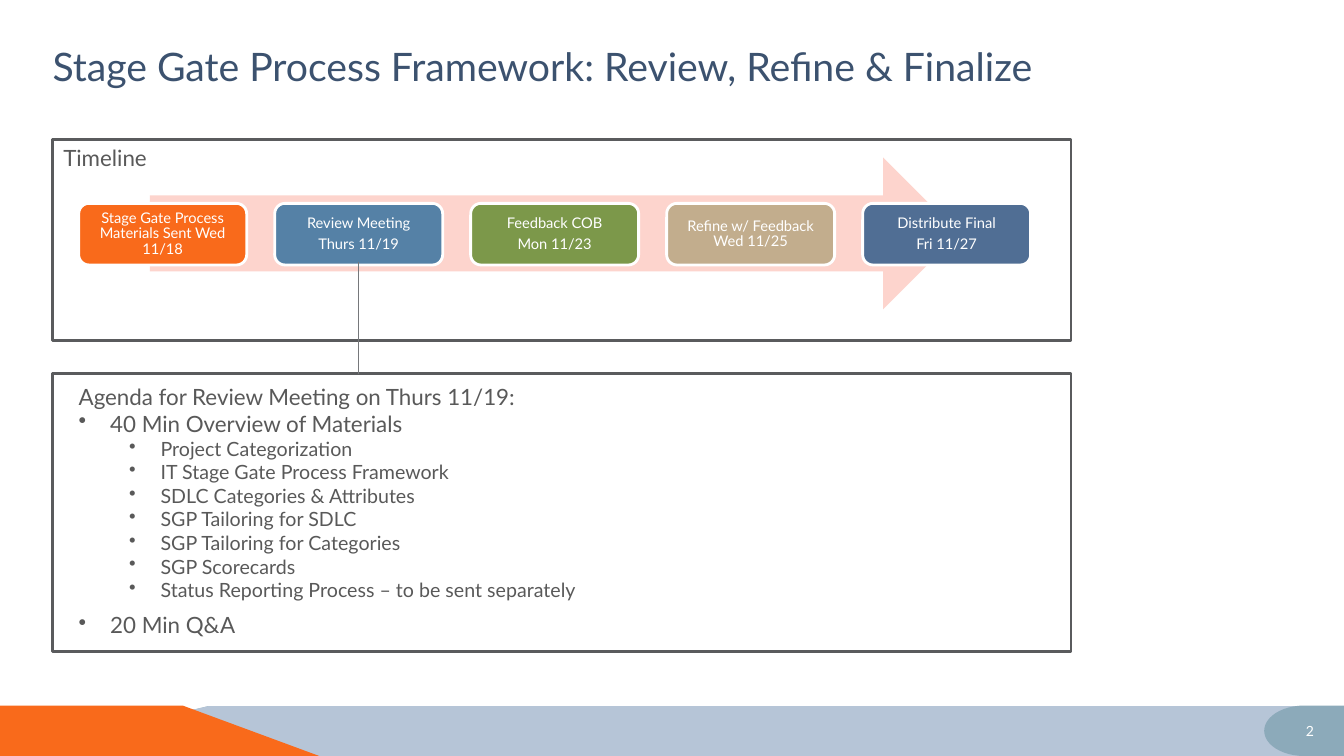
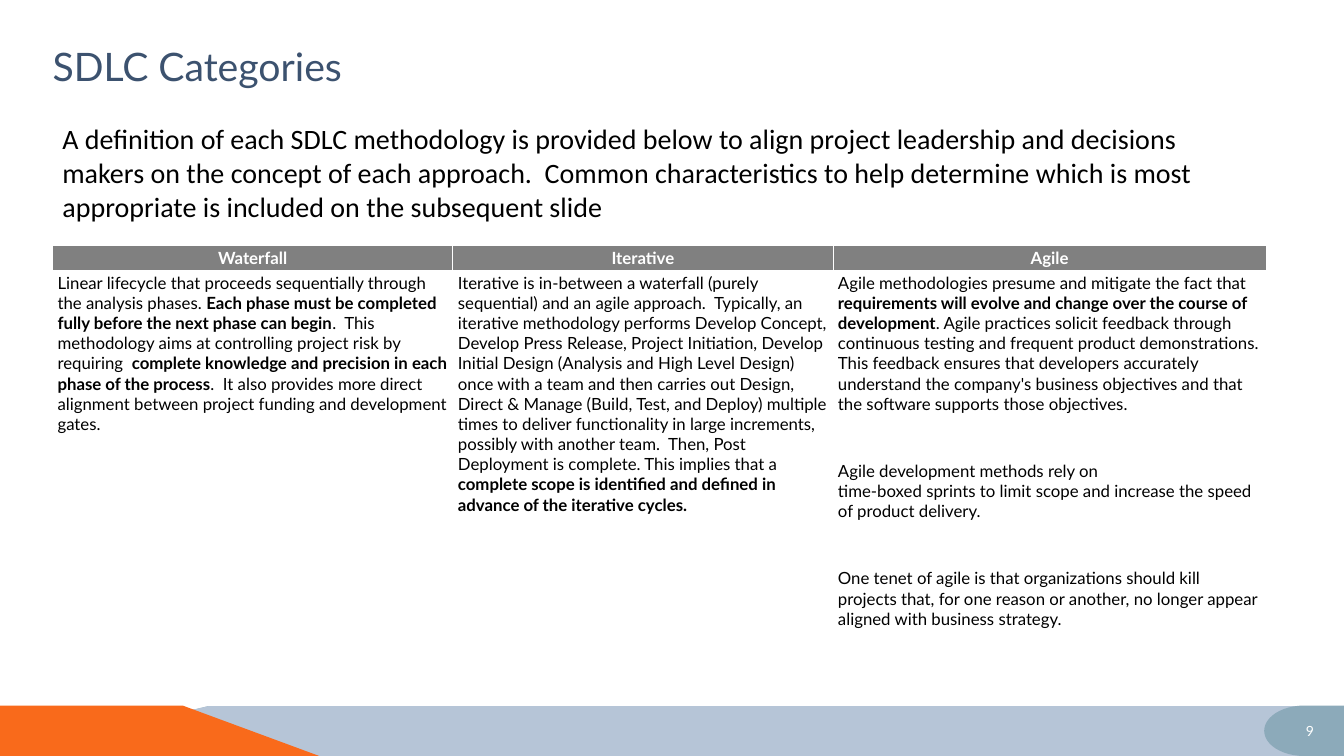
from lxml import etree
from pptx import Presentation
from pptx.dml.color import RGBColor
from pptx.enum.dml import MSO_PATTERN
from pptx.enum.shapes import MSO_CONNECTOR, MSO_SHAPE
from pptx.enum.text import MSO_ANCHOR, MSO_AUTO_SIZE, PP_ALIGN
from pptx.oxml.ns import qn
from pptx.util import Pt

LEFT, CENTER = PP_ALIGN.LEFT, PP_ALIGN.CENTER
TOP, MIDDLE = MSO_ANCHOR.TOP, MSO_ANCHOR.MIDDLE
RECTANGLE, ROUNDED = MSO_SHAPE.RECTANGLE, MSO_SHAPE.ROUNDED_RECTANGLE
RIGHT_ARROW, DELAY = MSO_SHAPE.RIGHT_ARROW, MSO_SHAPE.FLOWCHART_DELAY

COLORS = {
    "title": "3C526F", "body": "595959", "black": "000000", "white": "FFFFFF",
    "orange": "F96A1B", "blue": "5581A6", "green": "7C984A", "tan": "C2AD8D",
    "navy": "506E94", "arrow": "FDD4CD", "band": "B6C5D7", "teal": "8CAABA",
    "frame": "5A5B5D", "link": "76787B", "header": "808080",
}

WIDTH, HEIGHT = 960, 540
MARGIN = 37.5
FOOTER_TOP = 504

TIMELINE_TITLE = "Stage Gate Process Framework: Review, Refine & Finalize"
MILESTONES = [
    ("orange", ["Stage Gate Process Materials Sent Wed 11/18"]),
    ("blue", ["Review Meeting", "Thurs 11/19"]),
    ("green", ["Feedback COB", "Mon 11/23"]),
    ("tan", ["Refine w/ Feedback Wed 11/25"]),
    ("navy", ["Distribute Final", "Fri 11/27"]),
]
AGENDA_HEADING = "Agenda for Review Meeting on Thurs 11/19:"
AGENDA = [
    ("40 Min Overview of Materials", [
        "Project Categorization",
        "IT Stage Gate Process Framework",
        "SDLC Categories & Attributes",
        "SGP Tailoring for SDLC",
        "SGP Tailoring for Categories",
        "SGP Scorecards",
        "Status Reporting Process – to be sent separately",
    ]),
    ("20 Min Q&A", []),
]

CATEGORIES_TITLE = "SDLC Categories"
INTRO = (
    "A definition of each SDLC methodology is provided below to align project "
    "leadership and decisions makers on the concept of each approach.  Common "
    "characteristics to help determine which is most appropriate is included on "
    "the subsequent slide"
)
METHODS = [
    ("Waterfall", 286, [
        (0, ("Linear lifecycle that proceeds sequentially through the analysis phases. ",
             "Each phase must be completed fully before the next phase can begin",
             ".  This methodology aims at controlling project risk by requiring  ",
             "complete knowledge and precision in each phase of the process",
             ".  It also provides more direct alignment between project funding "
             "and development gates.")),
    ]),
    ("Iterative", 271.5, [
        (0, ("Iterative is in-between a waterfall (purely sequential) and an agile "
             "approach.  Typically, an iterative methodology performs Develop Concept, "
             "Develop Press Release, Project Initiation, Develop Initial Design "
             "(Analysis and High Level Design) once with a team and then carries out "
             "Design, Direct & Manage (Build, Test, and Deploy) multiple times to "
             "deliver functionality in large increments, possibly with another team.  "
             "Then, Post Deployment is complete. This implies that a ",
             "complete scope is identified and defined in advance of the iterative "
             "cycles.")),
    ]),
    ("Agile", 309.5, [
        (0, ("Agile methodologies presume and mitigate the fact that ",
             "requirements will evolve and change over the course of development",
             ". Agile practices solicit feedback through continuous testing and "
             "frequent product demonstrations. This feedback ensures that developers "
             "accurately understand the company's business objectives and that the "
             "software supports those objectives.")),
        (33.6, ("Agile development methods rely on",)),
        (0, ("time-boxed sprints to limit scope and increase the speed of product "
             "delivery.",)),
        (33.6, ("One tenet of agile is that organizations should kill projects that, "
                "for one reason or another, no longer appear aligned with business "
                "strategy.",)),
    ]),
]


def rgb(name):
    return RGBColor.from_string(COLORS[name])


def write(frame, text, size=16, color="body", font="Lato", bold=False, align=LEFT,
          before=0, after=0, spacing=1.0, indent=None):
    paragraph = frame.add_paragraph() if frame.text else frame.paragraphs[0]
    paragraph.alignment = align
    paragraph.space_before, paragraph.space_after = Pt(before), Pt(after)
    paragraph.line_spacing = spacing
    if indent is not None:
        properties = paragraph._p.get_or_add_pPr()
        properties.set("marL", str(Pt(indent)))
        properties.set("indent", str(-Pt(22.5)))
        etree.SubElement(properties, qn("a:buChar"), char="•")
    pieces = (text,) if isinstance(text, str) else text
    for index, piece in enumerate(pieces):
        run = paragraph.add_run()
        run.text = piece
        run.font.size, run.font.name = Pt(size), font
        run.font.color.rgb = rgb(color)
        run.font.bold = bold or index % 2 == 1


def set_frame(frame, horizontal, vertical, anchor=TOP):
    frame.word_wrap = True
    frame.auto_size = MSO_AUTO_SIZE.NONE
    frame.vertical_anchor = anchor
    frame.margin_left = frame.margin_right = Pt(horizontal)
    frame.margin_top = frame.margin_bottom = Pt(vertical)
    return frame


def add_text_area(slide, box, horizontal=0, vertical=0):
    area = slide.shapes.add_textbox(*map(Pt, box))
    return set_frame(area.text_frame, horizontal, vertical)


def paint(shape, fill=None, line=None):
    shape.shadow.inherit = False
    if fill:
        shape.fill.solid()
        shape.fill.fore_color.rgb = rgb(fill)
    else:
        shape.fill.background()
    if line:
        shape.line.color.rgb = rgb(line)
        shape.line.width = Pt(2)
    else:
        shape.line.fill.background()


def add_block(slide, kind, box, fill=None, line=None):
    block = slide.shapes.add_shape(kind, *map(Pt, box))
    paint(block, fill, line)
    return block


def add_band(slide, points, fill):
    corners = [(Pt(x), Pt(y)) for x, y in points]
    builder = slide.shapes.build_freeform(*corners[0], scale=1.0)
    builder.add_line_segments(corners[1:], close=True)
    band = builder.convert_to_shape()
    paint(band, fill)
    return band


def add_slide(deck, title, number):
    slide = deck.slides.add_slide(deck.slide_layouts[5])
    band = add_band(slide, [(0, HEIGHT), (150.5, FOOTER_TOP), (WIDTH, FOOTER_TOP),
                            (WIDTH, HEIGHT)], "band")
    band.fill.patterned()
    band.fill.pattern = MSO_PATTERN.DARK_HORIZONTAL
    band.fill.fore_color.rgb = rgb("band")
    band.fill.back_color.rgb = rgb("teal")
    add_band(slide, [(0, HEIGHT), (0, FOOTER_TOP), (130.5, FOOTER_TOP),
                     (228, HEIGHT)], "orange")
    page = add_block(slide, DELAY, (903, FOOTER_TOP, 57, 36), "teal")
    page.element.spPr.find(qn("a:xfrm")).set("flipH", "1")
    write(set_frame(page.text_frame, 7.2, 3.6, MIDDLE), number, size=10,
          color="white", align=CENTER)

    heading = slide.shapes.title
    heading.left, heading.top = Pt(MARGIN), Pt(30)
    heading.width, heading.height = Pt(891), Pt(42)
    write(set_frame(heading.text_frame, 0, 0), title, size=28, color="title")
    return slide


def build_timeline(deck):
    slide = add_slide(deck, TIMELINE_TITLE, "2")
    add_block(slide, RIGHT_ARROW, (107, 112.5, 578, 108.5), "arrow")
    for index, (color, lines) in enumerate(MILESTONES):
        milestone = add_block(slide, ROUNDED, (56.2 + 140 * index, 145.3, 120, 44),
                              color, "white")
        frame = set_frame(milestone.text_frame, 3.6, 3.6, MIDDLE)
        for line in lines:
            write(frame, line, size=10.5, color="white", align=CENTER,
                  spacing=0.9, after=3.7)

    write(add_text_area(slide, (45.2, 103, 720, 19)), "Timeline")
    agenda = add_text_area(slide, (56.2, 273.6, 700, 190))
    write(agenda, AGENDA_HEADING)
    for index, (topic, details) in enumerate(AGENDA):
        write(agenda, topic, indent=22.5, before=7.2 * index)
        for detail in details:
            write(agenda, detail, size=14, indent=58.5)

    for top, height in ((99.8, 143.2), (266.6, 199)):
        add_block(slide, RECTANGLE, (MARGIN, top, 727.5, height), line="frame")
    link = slide.shapes.add_connector(MSO_CONNECTOR.STRAIGHT, Pt(255.8), Pt(187),
                                      Pt(255.8), Pt(267))
    link.line.color.rgb = rgb("link")
    link.line.width = Pt(0.75)
    etree.SubElement(link.element.spPr, qn("a:effectLst"))


def format_cell(cell, fill, ruled_sides):
    cell.margin_left = cell.margin_right = Pt(3.6)
    cell.margin_top = cell.margin_bottom = Pt(1.8)
    properties = cell._tc.get_or_add_tcPr()
    for side in "LRTB":
        border = etree.SubElement(properties, qn(f"a:ln{side}"), w=str(Pt(0.67)))
        if side in ruled_sides:
            solid = etree.SubElement(border, qn("a:solidFill"))
            etree.SubElement(solid, qn("a:srgbClr"), val=COLORS["white"])
        else:
            etree.SubElement(border, qn("a:noFill"))
    cell.fill.solid()
    cell.fill.fore_color.rgb = rgb(fill)


def build_categories(deck):
    slide = add_slide(deck, CATEGORIES_TITLE, "9")
    total = sum(width for _, width, _ in METHODS)
    methods = slide.shapes.add_table(2, len(METHODS), Pt(MARGIN), Pt(175), Pt(total),
                                     Pt(294)).table
    methods.first_row = methods.horz_banding = False
    methods.rows[0].height, methods.rows[1].height = Pt(18), Pt(276)
    for column, (name, width, definition) in enumerate(METHODS):
        methods.columns[column].width = Pt(width)
        header, body = methods.cell(0, column), methods.cell(1, column)
        format_cell(header, "header", "LRT")
        format_cell(body, "white", "")
        write(header.text_frame, name, size=12, color="white", bold=True, align=CENTER)
        for before, text in definition:
            write(body.text_frame, text, size=12, color="black", before=before)

    write(add_text_area(slide, (MARGIN, 83.5, total, 80), 7.2, 3.6), INTRO, size=20,
          color="black", font="Calibri")


def main():
    deck = Presentation()
    deck.slide_width, deck.slide_height = Pt(WIDTH), Pt(HEIGHT)
    build_timeline(deck)
    build_categories(deck)
    deck.save("out.pptx")


if __name__ == "__main__":
    main()
